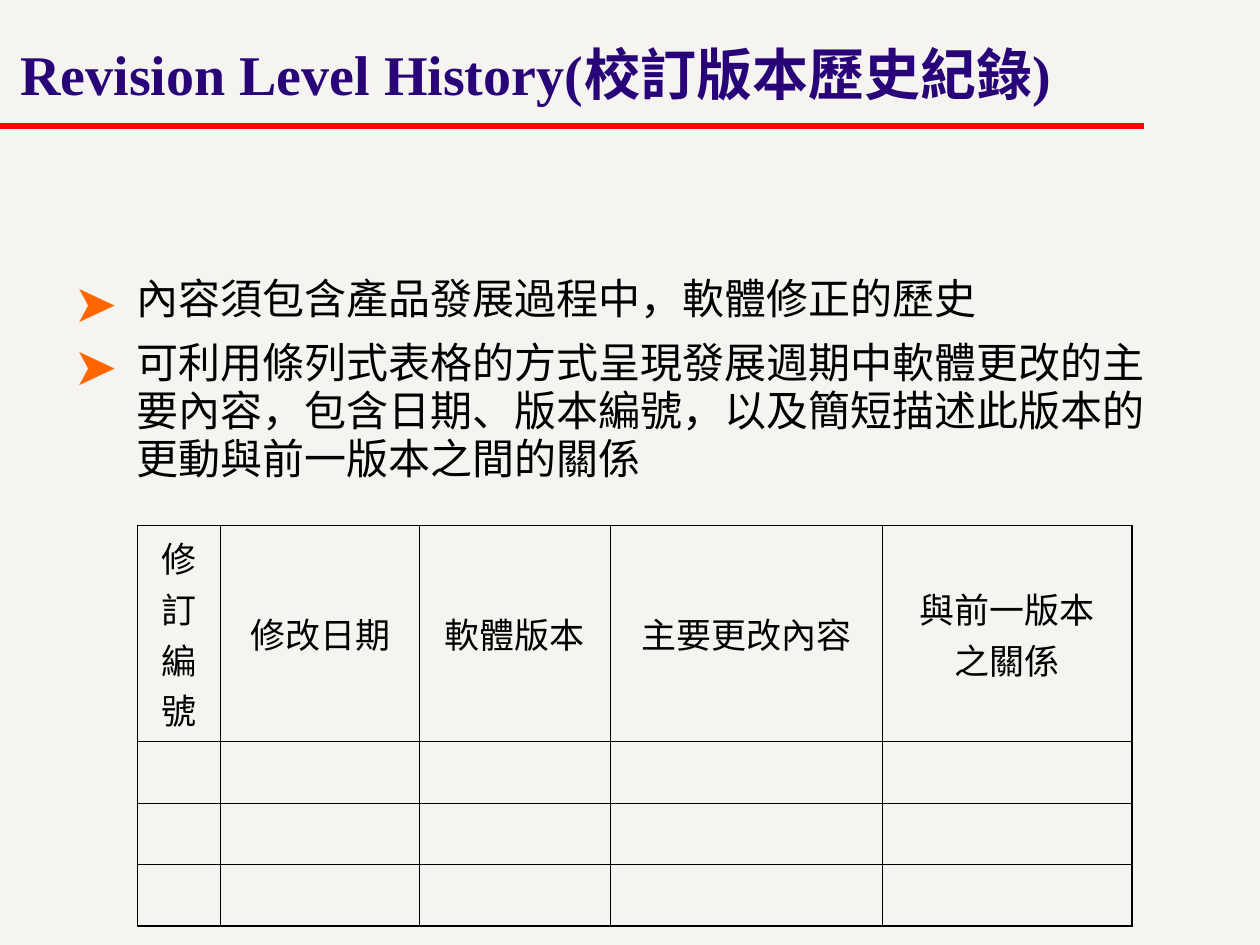
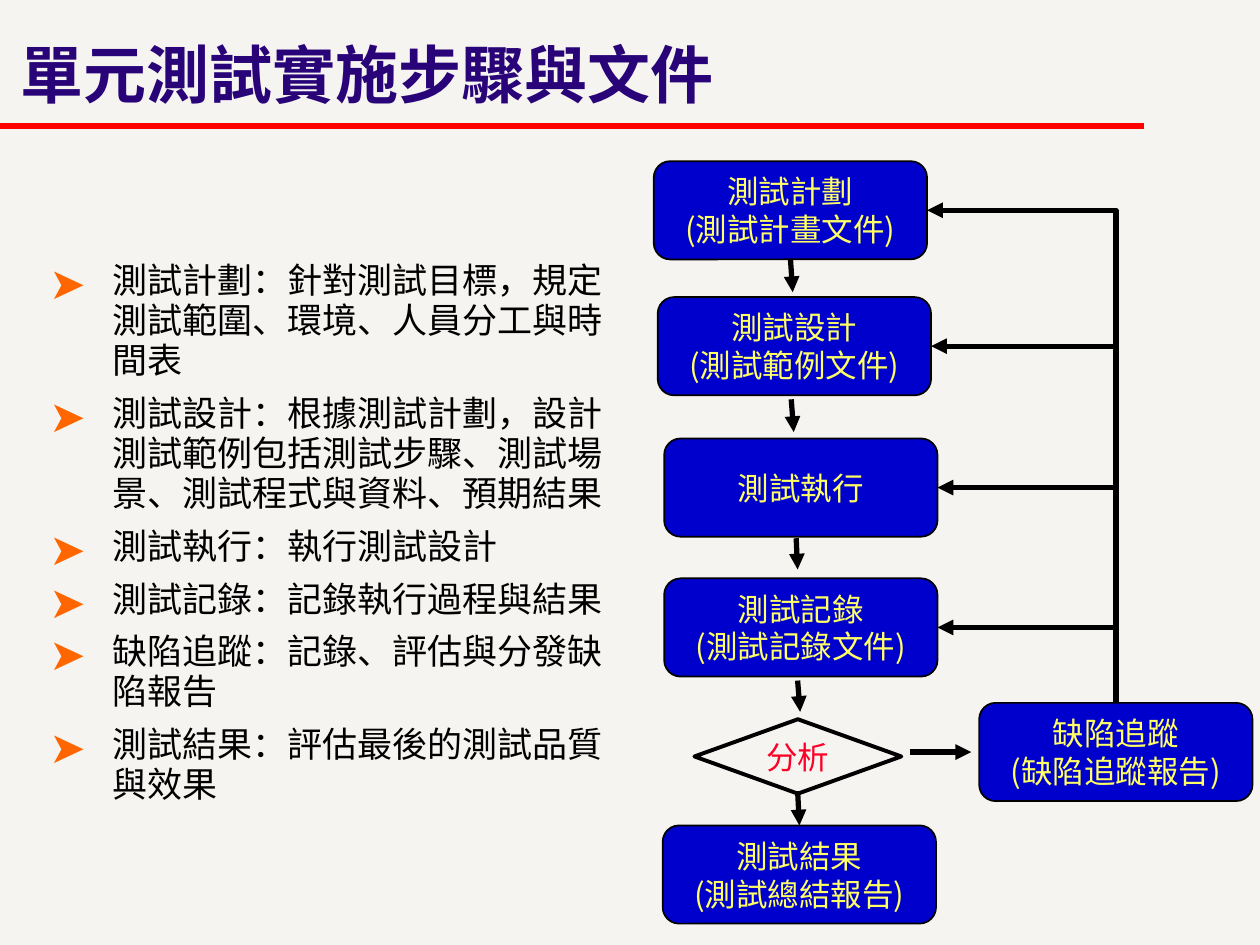
"""Two slides on software revision history and unit test steps."""
from dataclasses import dataclass

from lxml import etree
from pptx import Presentation
from pptx.dml.color import RGBColor
from pptx.enum.shapes import MSO_CONNECTOR, MSO_SHAPE
from pptx.enum.text import MSO_ANCHOR, MSO_AUTO_SIZE, PP_ALIGN
from pptx.oxml.ns import qn
from pptx.util import Cm, Pt

LEFT, MID = PP_ALIGN.LEFT, PP_ALIGN.CENTER
TOP, CENTER = MSO_ANCHOR.TOP, MSO_ANCHOR.MIDDLE
ROUND, CHOICE = MSO_SHAPE.ROUNDED_RECTANGLE, MSO_SHAPE.FLOWCHART_DECISION
LINE, ELBOW = MSO_CONNECTOR.STRAIGHT, MSO_CONNECTOR.ELBOW
FIXED = MSO_AUTO_SIZE.NONE


@dataclass(frozen=True)
class Theme:
    """Colours, faces and type sizes."""
    paper: str = "F6F4F0"
    title: str = "280478"
    ink: str = "000000"
    rule: str = "FF0000"
    mark: str = "FF6600"
    box: str = "0000CC"
    label: str = "FFFF66"
    alert: str = "FC0128"
    serif: str = "Times New Roman"
    sans: str = "Noto Sans CJK SC"
    cell: int = 20
    step: int = 18


T = Theme()

HISTORY = {
    "title": "Revision Level History(校訂版本歷史紀錄)",
    "face": T.serif, "head": 32, "size": 24, "gaps": (1.5, 7.5),
    "body": (1.07, 3.18, 23.19, 8.97),
    "items": [
        "內容須包含產品發展過程中，軟體修正的歷史",
        "可利用條列式表格的方式呈現發展週期中軟體更改的主要內容，"
        "包含日期、版本編號，以及簡短描述此版本的更動與前一版本之間的關係",
    ],
}
COLS = [("修訂編號", 1.68), ("修改日期", 4.01), ("軟體版本", 3.84),
        ("主要更改內容", 5.49), ("與前一版本之關係", 5.03)]
ROWS = [3.78, 1.24, 1.24, 1.24]

STEPS = {
    "title": "單元測試實施步驟與文件",
    "face": T.sans, "head": 36, "size": 20, "gaps": (1.2, 6.2),
    "body": (0.58, 3.18, 12.4, 15.16),
    "items": [
        "測試計劃：針對測試目標，規定測試範圍、環境、人員分工與時間表",
        "測試設計：根據測試計劃，設計測試範例包括測試步驟、測試場景、測試程式與資料、預期結果",
        "測試執行：執行測試設計",
        "測試記錄：記錄執行過程與結果",
        "缺陷追蹤：記錄、評估與分發缺陷報告",
        "測試結果：評估最後的測試品質與效果",
    ],
}
BOXES = {
    "plan": (13.18, 3.25, ["測試計劃", "(測試計畫文件)"]),
    "design": (13.26, 5.99, ["測試設計", "(測試範例文件)"]),
    "run": (13.39, 8.84, ["測試執行"]),
    "log": (13.39, 11.66, ["測試記錄", "(測試記錄文件)"]),
    "result": (13.36, 16.64, ["測試結果", "(測試總結報告)"]),
    "defect": (19.74, 14.17, ["缺陷追蹤", "(缺陷追蹤報告)"]),
}
ARROWS = [
    ((15.93, 5.23), (15.98, 5.89), "plan", None),
    ((15.95, 8.05), (16, 8.71), None, None),
    ((16.05, 10.85), (16.08, 11.48), None, None),
    ((16.08, 13.72), (16.13, 14.35), None, None),
    ((16.08, 15.95), (16.13, 16.61), None, "result"),
    ((18.34, 15.16), (19.58, 15.16), None, None),
]
LOOPS = ["log", "run", "design", "plan"]


def rgb(code):
    """Turn a hex code into a colour."""
    return RGBColor.from_string(code)


def node(parent, tag, **attrs):
    """Append a drawing element."""
    return etree.SubElement(parent, qn("a:" + tag), attrs)


def place(shape, x, y, w, h):
    """Move and size a shape, in centimetres."""
    shape.left, shape.top, shape.width, shape.height = map(Cm, (x, y, w, h))


def text(frame, lines, size, color, face=T.sans, bold=False, align=LEFT,
         space=None, gaps=(0, 0), hang=0, bullet=None):
    """Fill a text frame with formatted paragraphs."""
    for i, line in enumerate(lines):
        para = frame.add_paragraph() if i else frame.paragraphs[0]
        para.alignment = align
        props = para._p.get_or_add_pPr()
        if hang:
            props.set("marL", str(Cm(hang)))
            props.set("indent", str(-Cm(hang)))
        if bullet:
            node(node(props, "buClr"), "srgbClr", val=T.mark)
            node(props, "buSzPct", val="125000")
            node(props, "buFont", typeface=T.sans)
            node(props, "buChar", char=bullet)
        if space:
            para.line_spacing = space
        para.space_before = Pt(gaps[0] if i else 0)
        para.space_after = Pt(gaps[1])
        run = para.add_run()
        run.text = line
        font = run.font
        font.size, font.bold, font.name = Pt(size), bold, face
        font.color.rgb = rgb(color)
        node(run._r.get_or_add_rPr(), "ea", typeface=T.sans)


def inset(frame, wrap):
    """Set the margins, anchor and wrapping of a text frame."""
    frame.auto_size, frame.word_wrap = FIXED, wrap
    frame.vertical_anchor = CENTER
    frame.margin_left = frame.margin_right = Cm(0.41)
    frame.margin_top = frame.margin_bottom = Cm(0.2)
    return frame


def link(slide, start, end, color=T.ink, kind=LINE, head=True):
    """Draw a thick connector between two points in centimetres."""
    wire = slide.shapes.add_connector(kind, *map(Cm, (*start, *end)))
    wire.line.width = Pt(3)
    wire.line.color.rgb = rgb(color)
    if head:
        node(wire.line._get_or_add_ln(), "tailEnd", type="triangle")
    node(wire._element.spPr, "effectLst")
    return wire


def loop(slide, start, end):
    """Draw a one-bend arrow going up from start, then left to end."""
    wire = link(slide, (0, 0), (1, 1), kind=ELBOW)
    wire.begin_connect(start, 0)
    wire.end_connect(end, 3)
    x, y = start.left + start.width // 2, start.top
    tip, level = end.left + end.width, end.top + end.height // 2
    wide, tall = x - tip, y - level
    props = wire._element.spPr
    props.find(qn("a:prstGeom")).set("prst", "bentConnector2")
    frame = props.find(qn("a:xfrm"))
    frame.attrib.clear()
    frame.set("rot", "16200000")
    frame.set("flipV", "1")
    wire.left, wire.top = (x + tip - tall) // 2, (y + level - wide) // 2
    wire.width, wire.height = tall, wide


def page(deck, info):
    """Add a slide with its rule, title and list."""
    slide = deck.slides.add_slide(deck.slide_layouts[1])
    link(slide, (0, 2.54), (23.06, 2.54), color=T.rule, head=False)
    title, body = slide.shapes.title, slide.placeholders[1]
    place(title, 0, 0, 22.61, 3.18)
    text(inset(title.text_frame, True), [info["title"]], info["head"],
         T.title, face=info["face"], bold=True, space=0.85, hang=0.94)
    place(body, *info["body"])
    text(inset(body.text_frame, True), info["items"], info["size"], T.ink,
         face=info["face"], space=0.95, gaps=info["gaps"], hang=1.27,
         bullet="➤")
    return slide


def edge(cell, row, col):
    """Draw cell borders, thicker on the outside of the table."""
    outer = {"lnL": col == 0, "lnR": col == len(COLS) - 1,
             "lnT": row == 0, "lnB": row == len(ROWS) - 1}
    props = cell._tc.get_or_add_tcPr()
    for tag, out in outer.items():
        line = node(props, tag, w=str(Pt(0.96 if out else 0.45)))
        node(node(line, "solidFill"), "srgbClr", val=T.ink)
    cell.fill.background()


def grid(slide):
    """Add the revision table."""
    wide = sum(w for _, w in COLS)
    table = slide.shapes.add_table(len(ROWS), len(COLS), *map(
        Cm, (2.77, 10.59, wide, sum(ROWS)))).table
    table.first_row = table.horz_banding = False
    for row, high in enumerate(ROWS):
        table.rows[row].height = Cm(high)
        for col, (name, wide) in enumerate(COLS):
            table.columns[col].width = Cm(wide)
            cell = table.cell(row, col)
            edge(cell, row, col)
            if row == 0:
                cell.margin_left = cell.margin_right = Cm(0.41)
                cell.margin_top = cell.margin_bottom = Cm(0.13)
                cell.vertical_anchor = CENTER if col else TOP
                text(cell.text_frame, [name], T.cell, T.ink, face=T.serif,
                     align=MID)


def block(slide, kind, spot, lines, color, width, fill=None):
    """Add a labelled flow chart shape."""
    shape = slide.shapes.add_shape(kind, *map(Cm, spot))
    shape.shadow.inherit = False
    if fill:
        shape.fill.solid()
        shape.fill.fore_color.rgb = rgb(fill)
    else:
        shape.fill.background()
    shape.line.color.rgb = rgb(T.ink)
    shape.line.width = Pt(width)
    text(inset(shape.text_frame, False), lines, T.step, color, align=MID)
    return shape


def flow(slide):
    """Add the test process chart."""
    made = {key: block(slide, ROUND, (x, y, 5.51, 1.98), lines, T.label, 1,
                       fill=T.box)
            for key, (x, y, lines) in BOXES.items()}
    block(slide, CHOICE, (14, 14.5, 4.17, 1.5), ["分析"], T.alert, 2.25)
    for start, end, tail, tip in ARROWS:
        wire = link(slide, start, end)
        if tail:
            wire.begin_connect(made[tail], 2)
        if tip:
            wire.end_connect(made[tip], 0)
    for key in LOOPS:
        loop(slide, made["defect"], made[key])


def main():
    """Build and save the deck."""
    deck = Presentation()
    deck.slide_width, deck.slide_height = Cm(25.4), Cm(19.05)
    back = deck.slide_master.background.fill
    back.solid()
    back.fore_color.rgb = rgb(T.paper)
    grid(page(deck, HISTORY))
    flow(page(deck, STEPS))
    deck.save("out.pptx")


if __name__ == "__main__":
    main()
